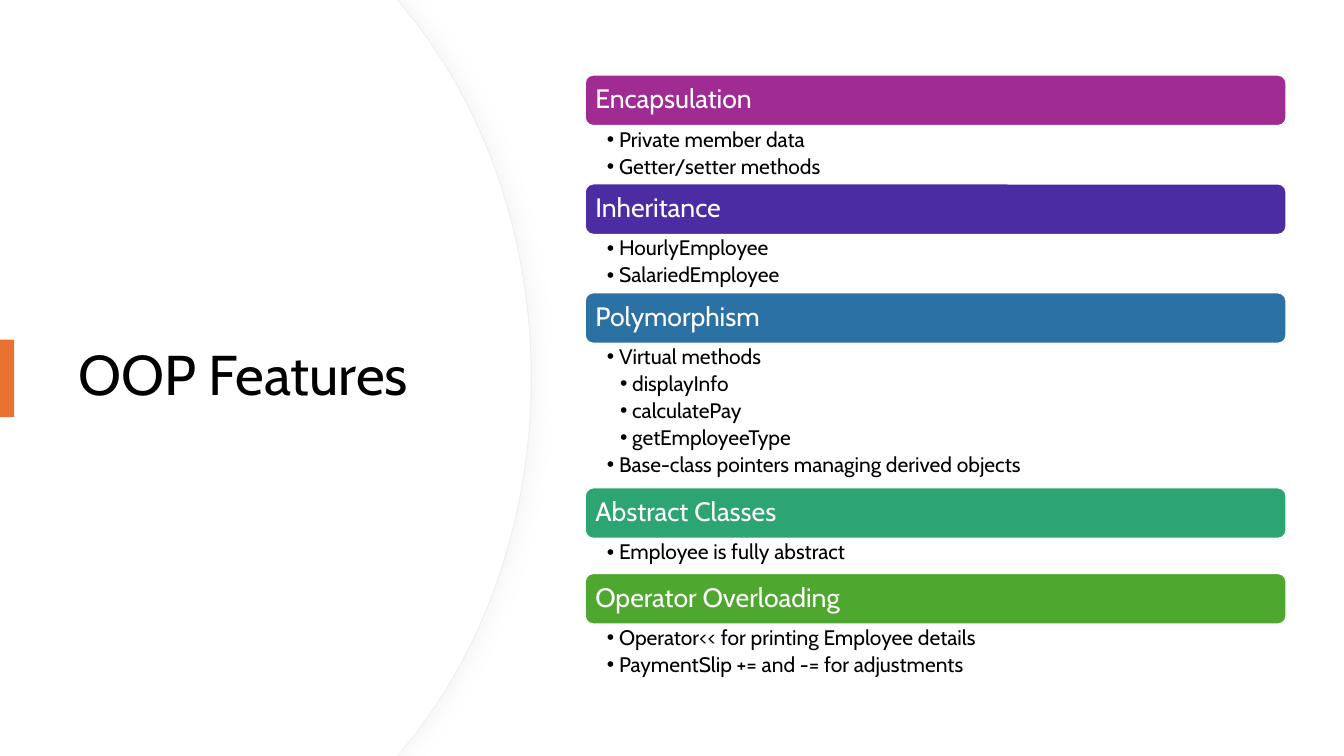
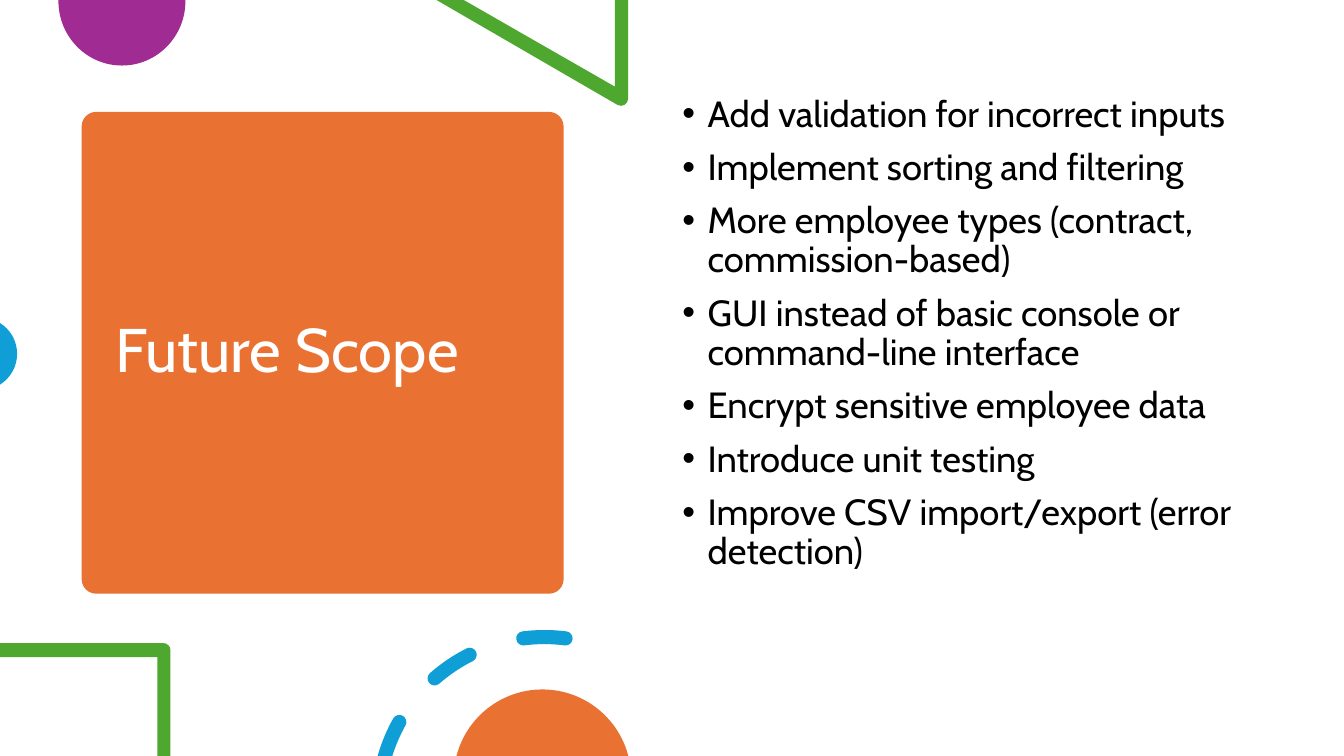
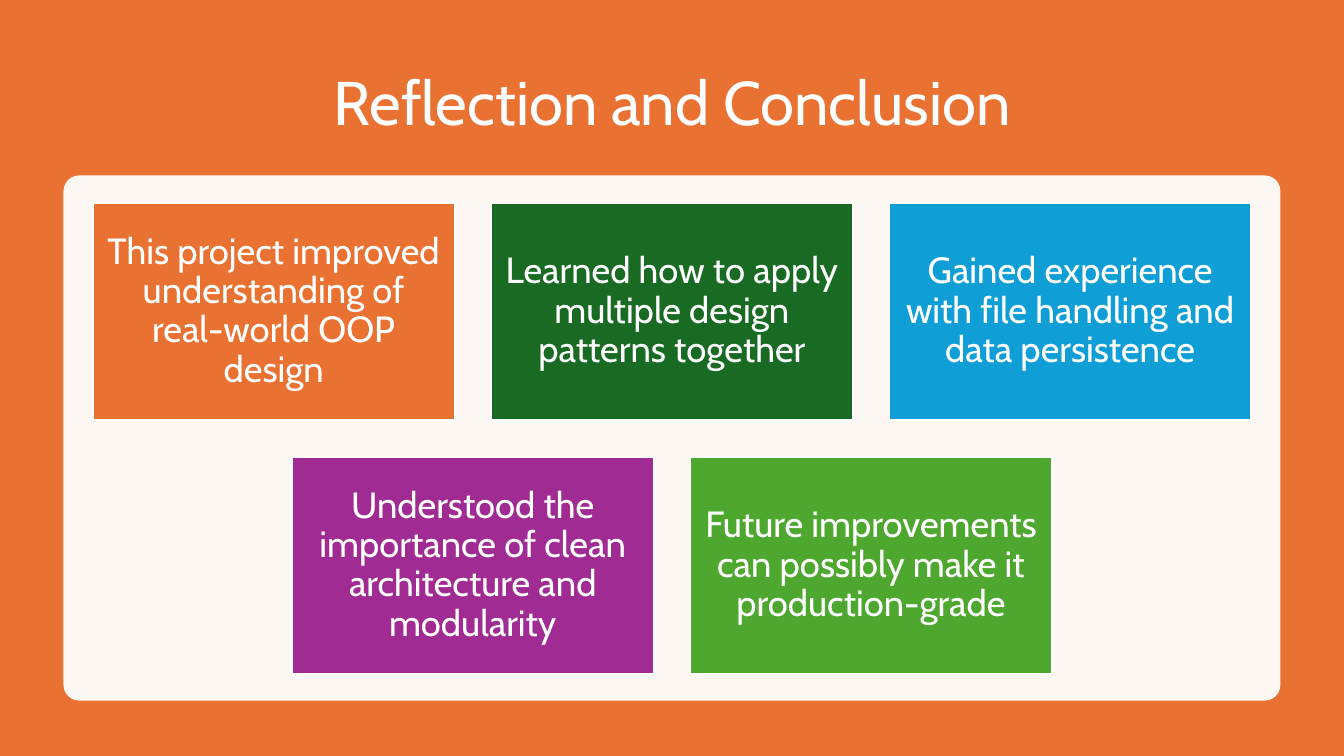
"""Build three slides on OOP features, future scope and conclusions."""
import math

import lxml.etree
import pptx
import pptx.dml.color
import pptx.enum.shapes
import pptx.enum.text
import pptx.oxml.ns
import pptx.util

WIDTH, HEIGHT = 13.33, 7.5
FONT = "Cabin"
WHITE, BLACK, ORANGE = "FFFFFF", "000000", "E97132"
PURPLE, GREEN, BLUE, FOREST = "A02B93", "4EA72E", "0F9ED5", "196B24"
RECT = pptx.enum.shapes.MSO_SHAPE.RECTANGLE
ROUNDED = pptx.enum.shapes.MSO_SHAPE.ROUNDED_RECTANGLE
CENTER = pptx.enum.text.PP_ALIGN.CENTER
LEFT = pptx.enum.text.PP_ALIGN.LEFT
MIDDLE = pptx.enum.text.MSO_ANCHOR.MIDDLE
TOP = pptx.enum.text.MSO_ANCHOR.TOP
TITLE_INSETS = (0.1, 0.05, 0.1, 0.05)

FEATURES = [
    ("Encapsulation", PURPLE, [(1, "Private member data"), (1, "Getter/setter methods")]),
    ("Inheritance", "4B2CA2", [(1, "HourlyEmployee"), (1, "SalariedEmployee")]),
    ("Polymorphism", "2C71A4", [
        (1, "Virtual methods"),
        (2, "displayInfo"),
        (2, "calculatePay"),
        (2, "getEmployeeType"),
        (1, "Base-class pointers managing derived objects"),
    ]),
    ("Abstract Classes", "2DA573", [(1, "Employee is fully abstract")]),
    ("Operator Overloading", GREEN, [
        (1, "Operator<< for printing Employee details"),
        (1, "PaymentSlip += and -= for adjustments"),
    ]),
]
FUTURE_SCOPE = [
    "Add validation for incorrect inputs",
    "Implement sorting and filtering",
    "More employee types (contract, commission-based)",
    "GUI instead of basic console or command-line interface",
    "Encrypt sensitive employee data",
    "Introduce unit testing",
    "Improve CSV import/export (error detection)",
]
CONCLUSIONS = [
    [
        ("This project improved understanding of real-world OOP design", ORANGE),
        ("Learned how to apply multiple design patterns together", FOREST),
        ("Gained experience with file handling and data persistence", BLUE),
    ],
    [
        ("Understood the importance of clean architecture and modularity", PURPLE),
        ("Future improvements can possibly make it production-grade", GREEN),
    ],
]


def color(value):
    return pptx.dml.color.RGBColor.from_string(value)


def inches(*lengths):
    return [pptx.util.Inches(length) for length in lengths]


def sub(parent, tag, **attributes):
    return lxml.etree.SubElement(parent, pptx.oxml.ns.qn(tag), attributes)


def paint(shape, fill, line=None, line_width=1.5):
    shape.shadow.inherit = False
    shape.fill.solid()
    shape.fill.fore_color.rgb = color(fill)
    if line:
        shape.line.color.rgb = color(line)
        shape.line.width = pptx.util.Pt(line_width)
    else:
        shape.line.fill.background()
    return shape


def block(slide, at, fill, kind=RECT, line=None, corner=None):
    shape = paint(slide.shapes.add_shape(kind, *inches(*at)), fill, line)
    if corner:
        shape.adjustments[0] = corner
    return shape


def write(shape, lines, size, ink, insets, align=LEFT, anchor=MIDDLE, before=0, after=0, indents=()):
    frame = shape.text_frame
    frame.word_wrap = True
    frame.vertical_anchor = anchor
    frame.margin_left, frame.margin_top, frame.margin_right, frame.margin_bottom = inches(*insets)
    for number, (level, text) in enumerate(lines):
        paragraph = frame.add_paragraph() if number else frame.paragraphs[0]
        paragraph.alignment = align
        paragraph.line_spacing = 0.9
        paragraph.space_before = pptx.util.Pt(before)
        paragraph.space_after = pptx.util.Pt(after)
        run = paragraph.add_run()
        run.text = text
        run.font.name = FONT
        run.font.size = pptx.util.Pt(size)
        run.font.color.rgb = color(ink)
        if indents:
            properties = paragraph._p.get_or_add_pPr()
            properties.set("marL", str(pptx.util.Inches(indents[level - 1])))
            properties.set("indent", str(-pptx.util.Inches(indents[0])))
            sub(properties, "a:buFont", typeface="Arial")
            sub(properties, "a:buChar", char="•")


def title(slide, text, at, size=44, ink=WHITE, align=LEFT):
    write(slide.shapes.add_textbox(*inches(*at)), [(1, text)], size, ink, TITLE_INSETS, align)


def arc(cx, cy, rx, ry, start, end, pieces=None):
    """Return the start point, then one cubic curve (two controls, end) per piece."""
    pieces = pieces or math.ceil(abs(end - start) / 91)
    turn = math.radians(end - start) / pieces
    pull = 4 / 3 * math.tan(turn / 4)

    def at(angle, lead=0):
        return (cx + rx * (math.cos(angle) - lead * math.sin(angle)),
                cy + ry * (math.sin(angle) + lead * math.cos(angle)))

    angles = [math.radians(start) + turn * i for i in range(pieces + 1)]
    return [at(angles[0])] + [at(a, pull) + at(b, -pull) + at(b) for a, b in zip(angles, angles[1:])]


def outline(slide, contours, fill, line=None, line_width=0.75):
    builder = None
    for contour in contours:
        ends = [inches(*step[-2:]) for step in contour]
        if builder is None:
            builder = slide.shapes.build_freeform(*ends[0], scale=1.0)
        else:
            builder.move_to(*ends[0])
        builder.add_line_segments(ends[1:], close=False)
        builder.add_line_segments([ends[0]], close=True)
    shape = builder.convert_to_shape()
    geometry = shape._element.spPr.find(".//" + pptx.oxml.ns.qn("a:path"))
    straight = geometry.findall(pptx.oxml.ns.qn("a:lnTo"))
    steps = [step for contour in contours for step in contour[1:] + contour[:1]]
    for segment, step in zip(straight, steps):
        if len(step) == 6:
            curve = lxml.etree.Element(pptx.oxml.ns.qn("a:cubicBezTo"))
            for x, y in zip(inches(*step[::2]), inches(*step[1::2])):
                sub(curve, "a:pt", x=str(x - shape.left), y=str(y - shape.top))
            geometry.replace(segment, curve)
    return paint(shape, fill, line, line_width)


def dash(cx, cy, radius, thickness, middle, span):
    half = thickness / 2
    start, end = middle - span / 2, middle + span / 2
    outer, inner = radius + half, radius - half
    floors = [math.degrees(math.asin((cy - HEIGHT) / r)) - 180 for r in (outer, inner)]
    far, near = [max(start, floor) for floor in floors]
    head, tail = [arc(cx, cy, radius, radius, a, a, 1)[0] for a in (end, start)]
    edge = (arc(cx, cy, outer, outer, far, end, 2)
            + arc(*head, half, half, end, end + 180)[1:]
            + arc(cx, cy, inner, inner, end, near)[1:])
    return edge if far > start else edge + arc(*tail, half, half, start + 180, start + 360)[1:]


def features_slide(slide):
    for reach, rim in ((4.33, "EFEFEF"), (4.32, None)):
        curve = arc(0.94, HEIGHT / 2, reach, 5.2, -46.15, 46.15)
        panel = outline(slide, [[(0, 0), *curve, (0, HEIGHT)]], WHITE, rim)
        if rim:
            effects = panel._element.spPr.find(pptx.oxml.ns.qn("a:effectLst"))
            shadow = sub(effects, "a:outerShdw", blurRad=str(pptx.util.Pt(14)),
                         dist=str(pptx.util.Pt(3)), dir="0")
            sub(sub(shadow, "a:srgbClr", val="D9D9D9"), "a:alpha", val="25000")
    title(slide, "OOP Features", (0.68, 1.27, 3.94, 4.95), 40, BLACK)
    block(slide, (0, 3.37, 0.14, 0.77), ORANGE)

    left, top, width, band = 5.8, 0.74, 6.96, 0.51
    for name, fill, details in FEATURES:
        heading = block(slide, (left, top, width, band), fill, ROUNDED, WHITE)
        write(heading, [(1, name)], 19, WHITE, (0.08,) * 4)
        depth = max(0.34, 0.57 * len(details) / 2)
        listing = slide.shapes.add_textbox(*inches(left, top + band, width, depth))
        write(listing, details, 15, BLACK, (0.22, 0.03, 0.15, 0.03), anchor=TOP,
              after=3, indents=(0.12, 0.25))
        top += band + depth


def future_slide(slide):
    block(slide, (0.81, 1.11, 4.78, 4.78), ORANGE, ROUNDED, corner=0.03)
    title(slide, "Future Scope", (1.05, 1.22, 4.31, 4.56))
    decorations = [
        (PURPLE, [[(1.84, 0), *arc(1.21, 0.01, 0.63, 0.64, 0, 180), (0.58, 0)]]),
        (GREEN, [[(6.23, 0), *arc(6.16, 0.98, 0.07, 0.07, 0, 120), (4.33, 0),
                  (4.6, 0), (6.1, 0.86), (6.1, 0)]]),
        (BLUE, [arc(-0.19, 3.51, 0.36, 0.36, -58, 58)]),
        (GREEN, [[(0, 6.38), *arc(1.62, 6.45, 0.07, 0.07, -90, 0), (1.69, HEIGHT),
                  (1.56, HEIGHT), (1.56, 6.52), (0, 6.52)]]),
        (BLUE, [dash(5.4, 7.97, 1.65, 0.14, -90 - 34 * i, 14.6) for i in (2, 1, 0)]),
        (ORANGE, [arc(5.38, 7.72, 0.88, 0.88, -165.5, -14.5)]),
    ]
    for fill, contours in decorations:
        outline(slide, contours, fill)
    plans = slide.shapes.add_textbox(*inches(6.67, 0.9, 5.75, 5.35))
    write(plans, [(1, plan) for plan in FUTURE_SCOPE], 26, BLACK, TITLE_INSETS,
          anchor=TOP, before=10, indents=(0.25,))


def conclusion_slide(slide):
    block(slide, (0, 0, WIDTH, HEIGHT), ORANGE)
    title(slide, "Reflection and Conclusion", (0.92, 0.5, 11.5, 1.1), align=CENTER)
    panel = block(slide, (0.63, 1.74, 12.07, 5.21), WHITE, ROUNDED, corner=0.03)
    tint = panel._element.spPr.find(".//" + pptx.oxml.ns.qn("a:srgbClr"))
    sub(tint, "a:alpha", val="95000")

    width, height, gap = 3.59, 2.16, 0.36
    for row, cards in enumerate(CONCLUSIONS):
        left = (WIDTH - len(cards) * (width + gap) + gap) / 2
        top = 2.01 + row * (height + gap)
        for column, (lesson, fill) in enumerate(cards):
            card = block(slide, (left + column * (width + gap), top, width, height), fill, line=WHITE)
            write(card, [(1, lesson)], 26, WHITE, (0.11,) * 4, CENTER)


def main():
    deck = pptx.Presentation()
    deck.slide_width, deck.slide_height = inches(WIDTH, HEIGHT)
    for fill_slide in (features_slide, future_slide, conclusion_slide):
        fill_slide(deck.slides.add_slide(deck.slide_layouts[6]))
    deck.save("out.pptx")


if __name__ == "__main__":
    main()
